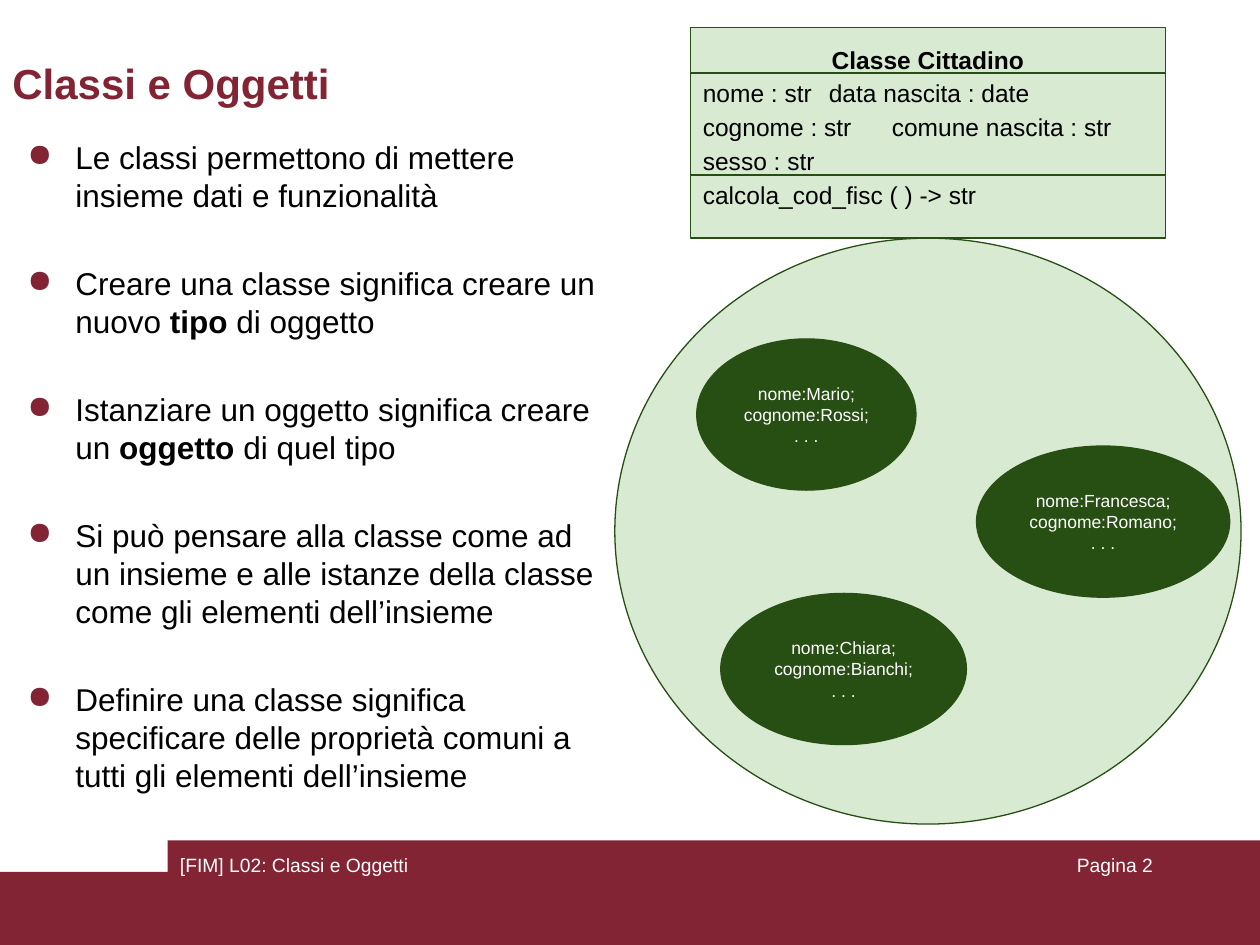
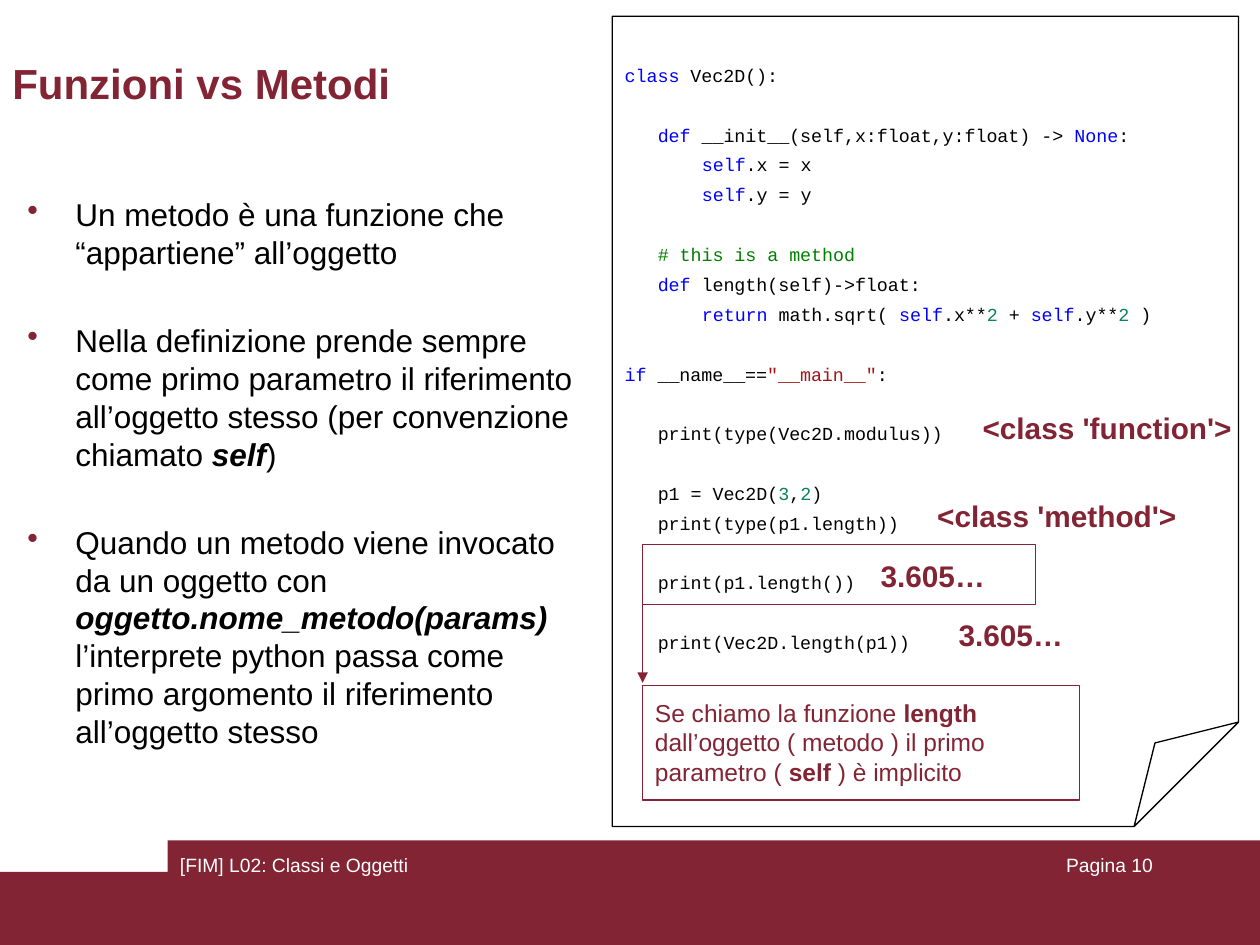
import dataclasses

import lxml.etree
import pptx
import pptx.dml.color
import pptx.enum.shapes
import pptx.enum.text
import pptx.oxml.ns
import pptx.util

RGB = pptx.dml.color.RGBColor
SHAPE = pptx.enum.shapes.MSO_SHAPE
ALIGN = pptx.enum.text.PP_ALIGN
ANCHOR = pptx.enum.text.MSO_ANCHOR
Inches = pptx.util.Inches
Pt = pptx.util.Pt

BURGUNDY = RGB(0x82, 0x24, 0x33)
DARK_GREEN = RGB(0x27, 0x4E, 0x13)
PALE_GREEN = RGB(0xD9, 0xEA, 0xD3)
BLACK = RGB(0, 0, 0)
WHITE = RGB(255, 255, 255)
KEYWORD_BLUE = RGB(0, 0, 255)
COMMENT_GREEN = RGB(0, 0x80, 0)
NUMBER_GREEN = RGB(0x09, 0x86, 0x58)
STRING_RED = RGB(0xA3, 0x15, 0x15)

SLIDE_WIDTH, SLIDE_HEIGHT = Inches(10), Inches(7.5)
COLUMNS, ROWS = 100, 75
CODE_CHARACTER = 6.3
CODE_LINE = 17


@dataclasses.dataclass(frozen=True)
class Look:
    size: float
    color: RGB = BLACK
    font: str = "Arial"
    bold: bool = False
    italic: bool = False


TITLE = Look(24, BURGUNDY, bold=True)
FOOTER = Look(11, WHITE)
BODY = Look(18)
STRONG = dataclasses.replace(BODY, bold=True)
EMPHASIS = dataclasses.replace(STRONG, italic=True)
MEMBER = Look(14)
CLASS_NAME = dataclasses.replace(MEMBER, bold=True)
INSTANCE = Look(10, WHITE)
RESULT = Look(17, BURGUNDY, bold=True)
NOTE = Look(14, BURGUNDY)
NOTE_STRONG = dataclasses.replace(NOTE, bold=True)
CODE = Look(10.5, font="Courier New")
KEYWORD, COMMENT, NUMBER, STRING = (
    dataclasses.replace(CODE, color=color)
    for color in (KEYWORD_BLUE, COMMENT_GREEN, NUMBER_GREEN, STRING_RED)
)
SELF = ("self", KEYWORD)
DEF = ("def", KEYWORD)


def col(count):
    return round(SLIDE_WIDTH * count / COLUMNS)


def row(count):
    return round(SLIDE_HEIGHT * count / ROWS)


def place(left, top, width, height):
    return col(left), row(top), col(width), row(height)


def add_format(paragraph, tag, parent=None, **attributes):
    parent = paragraph._p.get_or_add_pPr() if parent is None else parent
    return lxml.etree.SubElement(parent, pptx.oxml.ns.qn(tag), attributes)


def write(frame, runs, look, align=ALIGN.LEFT, before=0, spacing=None, margin=0, indent=0):
    paragraph = frame.paragraphs[0]
    if paragraph.runs:
        paragraph = frame.add_paragraph()
    paragraph.alignment = align
    paragraph.space_before = Pt(before)
    if spacing:
        paragraph.line_spacing = spacing
    properties = paragraph._p.get_or_add_pPr()
    properties.set("marL", str(int(margin)))
    properties.set("indent", str(int(indent)))
    for piece in runs:
        words, style = (piece, look) if isinstance(piece, str) else piece
        run = paragraph.add_run()
        run.text = words
        run.font.name = style.font
        run.font.size = Pt(style.size)
        run.font.color.rgb = style.color
        run.font.bold = style.bold
        run.font.italic = style.italic
    return paragraph


def prepare(frame, anchor, inset):
    frame.word_wrap = True
    frame.vertical_anchor = anchor
    frame.margin_left = frame.margin_right = col(1)
    frame.margin_top = frame.margin_bottom = row(inset)
    return frame


def add_label(slide, area, words, look, align=ALIGN.LEFT, anchor=ANCHOR.TOP, inset=0.5):
    frame = prepare(slide.shapes.add_textbox(*place(*area)).text_frame, anchor, inset)
    write(frame, [words], look, align)


def add_figure(slide, kind, area, fill=None, line=None, anchor=ANCHOR.TOP):
    figure = slide.shapes.add_shape(kind, *place(*area))
    figure.shadow.inherit = False
    if fill is None:
        figure.fill.background()
    else:
        figure.fill.solid()
        figure.fill.fore_color.rgb = fill
    if line is None:
        figure.line.fill.background()
    else:
        figure.line.color.rgb = line
        figure.line.width = Pt(0.75)
    prepare(figure.text_frame, anchor, 1)
    return figure


def add_rule(slide, start, end, color):
    rule = slide.shapes.add_connector(
        pptx.enum.shapes.MSO_CONNECTOR.STRAIGHT,
        col(start[0]), row(start[1]), col(end[0]), row(end[1]),
    )
    rule.line.color.rgb = color
    rule.line.width = Pt(0.75)
    lxml.etree.SubElement(rule._element.spPr, pptx.oxml.ns.qn("a:effectLst"))
    return rule


def add_bullets(slide, top, width, symbol, points):
    area = place(0, top, width, 45)
    frame = prepare(slide.shapes.add_textbox(*area).text_frame, ANCHOR.TOP, 0.5)
    for index, runs in enumerate(points):
        point = write(frame, runs, BODY, before=28.8 if index else 3.6,
                      margin=col(5), indent=-col(3.8))
        color = add_format(point, "a:buClr")
        add_format(point, "a:srgbClr", color, val=str(BURGUNDY))
        add_format(point, "a:buChar", char=symbol)


def add_page(deck, title, number):
    slide = deck.slides.add_slide(deck.slide_layouts[6])
    for band in ((0, 69.2, 100, 5.8), (13.3, 66.7, 86.7, 8.3)):
        add_figure(slide, SHAPE.RECTANGLE, band, BURGUNDY)
    add_label(slide, (13.3, 67.2, 31.7, 5), "[FIM] L02: Classi e Oggetti", FOOTER)
    add_label(slide, (71.7, 67.2, 20.8, 5), f"Pagina {number}", FOOTER, ALIGN.RIGHT)
    add_label(slide, (0, 4.1, 48, 5.5), title, TITLE)
    return slide


def add_class_card(slide, left, top, width, height):
    card = add_figure(slide, SHAPE.RECTANGLE, (left, top, width, height),
                      PALE_GREEN, DARK_GREEN).text_frame
    write(card, ["Classe Cittadino"], CLASS_NAME, ALIGN.CENTER, spacing=1.15)
    for member in ("nome : str\tdata nascita : date", "cognome : str\tcomune nascita : str",
                   "sesso : str", "calcola_cod_fisc ( ) -> str"):
        entry = write(card, [member], MEMBER, spacing=1.15)
        if "\t" in member:
            tabs = add_format(entry, "a:tabLst")
            add_format(entry, "a:tab", tabs, pos=str(col(15.1)), algn="l")
    for divider in (5.8, 13.9):
        add_rule(slide, (left, divider), (left + width, divider), DARK_GREEN)


def add_instance(slide, area, first_name, surname):
    oval = add_figure(slide, SHAPE.OVAL, area, DARK_GREEN, DARK_GREEN, ANCHOR.MIDDLE)
    for words in (f"nome:{first_name}; cognome:{surname};", ". . ."):
        write(oval.text_frame, [words], INSTANCE, ALIGN.CENTER)


def add_code_sheet(slide, area, lines):
    sheet = add_figure(slide, SHAPE.FOLDED_CORNER, area, line=BLACK, anchor=ANCHOR.MIDDLE)
    sheet.text_frame.margin_bottom = row(3.3)
    for blank_above, depth, runs in lines:
        write(sheet.text_frame, runs, CODE, before=blank_above * CODE_LINE,
              spacing=1.36, margin=Pt(depth * CODE_CHARACTER))


def build_classes(deck):
    slide = add_page(deck, "Classi e Oggetti", 2)
    add_bullets(slide, 10.5, 49.7, "●", [
        ["Le classi permettono di mettere insieme dati e funzionalità"],
        ["Creare una classe significa creare un nuovo ", ("tipo ", STRONG), "di oggetto"],
        ["Istanziare un oggetto significa creare un ", ("oggetto ", STRONG), "di quel tipo"],
        ["Si può pensare alla classe come ad un insieme e alle istanze della classe "
         "come gli elementi dell’insieme"],
        ["Definire una classe significa specificare delle proprietà comuni a tutti "
         "gli elementi dell’insieme"],
    ])
    add_figure(slide, SHAPE.OVAL, (48.8, 18.9, 49.7, 46.5), PALE_GREEN, DARK_GREEN)
    add_class_card(slide, 54.8, 2.2, 37.7, 16.7)
    for left, top, width, first_name, surname in (
        (55.3, 26.9, 17.4, "Mario", "Rossi"),
        (77.5, 35.4, 20.1, "Francesca", "Romano"),
        (57.2, 47.1, 19.5, "Chiara", "Bianchi"),
    ):
        add_instance(slide, (left, top, width, 12), first_name, surname)


def build_methods(deck):
    slide = add_page(deck, "Funzioni vs Metodi", 10)
    add_code_sheet(slide, (48.6, 1.3, 49.7, 64.3), [
        (0, 0, [("class", KEYWORD), " Vec2D():"]),
        (1, 3, [DEF, " __init__(self,x:float,y:float) -> ", ("None", KEYWORD), ":"]),
        (0, 7, [SELF, ".x = x"]),
        (0, 7, [SELF, ".y = y"]),
        (1, 3, [("# this is a method", COMMENT)]),
        (0, 3, [DEF, " length(self)->float:"]),
        (0, 7, [("return", KEYWORD), " math.sqrt( ", SELF, ".x**", ("2", NUMBER),
                " + ", SELF, ".y**", ("2", NUMBER), " )"]),
        (1, 0, [("if", KEYWORD), " __name__==", ('"__main__"', STRING), ":"]),
        (1, 3, ["print(type(Vec2D.modulus))"]),
        (1, 3, ["p1 = Vec2D(", ("3", NUMBER), ",", ("2", NUMBER), ")"]),
        (0, 3, ["print(type(p1.length))"]),
        (1, 3, ["print(p1.length())"]),
        (1, 3, ["print(Vec2D.length(p1))"]),
    ])
    for left, top, result in (
        (77, 31.1, "<class 'function'>"),
        (73.4, 38.1, "<class 'method'>"),
        (68.9, 42.8, "3.605…"),
        (75.1, 47.5, "3.605…"),
    ):
        add_label(slide, (left, top, 23, 5.7), result, RESULT, anchor=ANCHOR.MIDDLE, inset=1)
    add_bullets(slide, 15, 46.7, "•", [
        ["Un metodo è una funzione che “appartiene” all’oggetto"],
        ["Nella definizione prende sempre come primo parametro il riferimento all’oggetto "
         "stesso (per convenzione chiamato ", ("self", EMPHASIS), ")"],
        ["Quando un metodo viene invocato da un oggetto con ",
         ("oggetto.nome_metodo(params) ", EMPHASIS),
         "l’interprete python passa come primo argomento il riferimento all’oggetto stesso"],
    ])
    method_call = add_figure(slide, SHAPE.RECTANGLE, (51, 43.2, 31.2, 4.8), line=BURGUNDY)
    arrow = add_rule(slide, (51, 45.6), (51, 54.2), BURGUNDY)
    arrow.begin_connect(method_call, 1)
    lxml.etree.SubElement(arrow.line._get_or_add_ln(), pptx.oxml.ns.qn("a:tailEnd"),
                          type="triangle")
    note = add_figure(slide, SHAPE.RECTANGLE, (51, 54.4, 34.7, 9.1), line=BURGUNDY)
    write(note.text_frame, [
        "Se chiamo la funzione ", ("length", NOTE_STRONG),
        " dall’oggetto ( metodo ) il primo parametro ( ", ("self", NOTE_STRONG),
        " ) è implicito",
    ], NOTE)


def main():
    deck = pptx.Presentation()
    deck.slide_width, deck.slide_height = SLIDE_WIDTH, SLIDE_HEIGHT
    build_classes(deck)
    build_methods(deck)
    deck.save("out.pptx")


if __name__ == "__main__":
    main()
